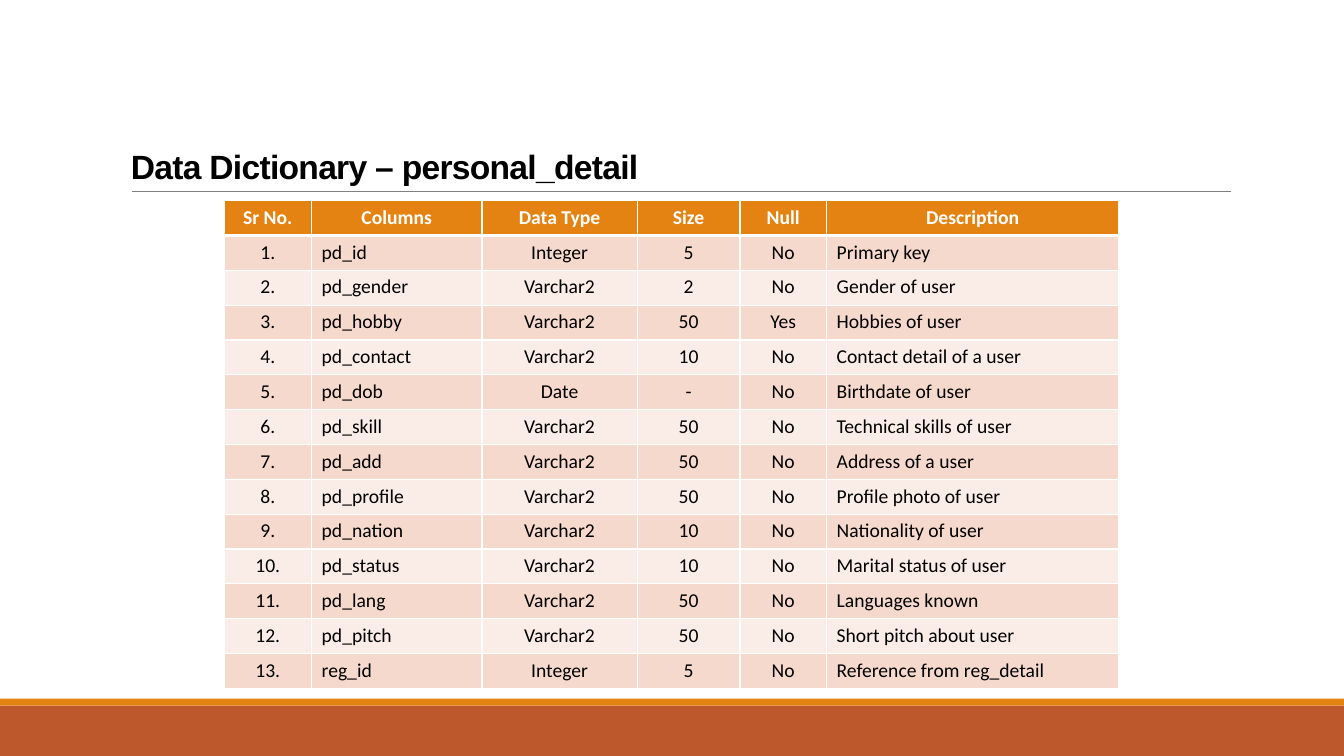
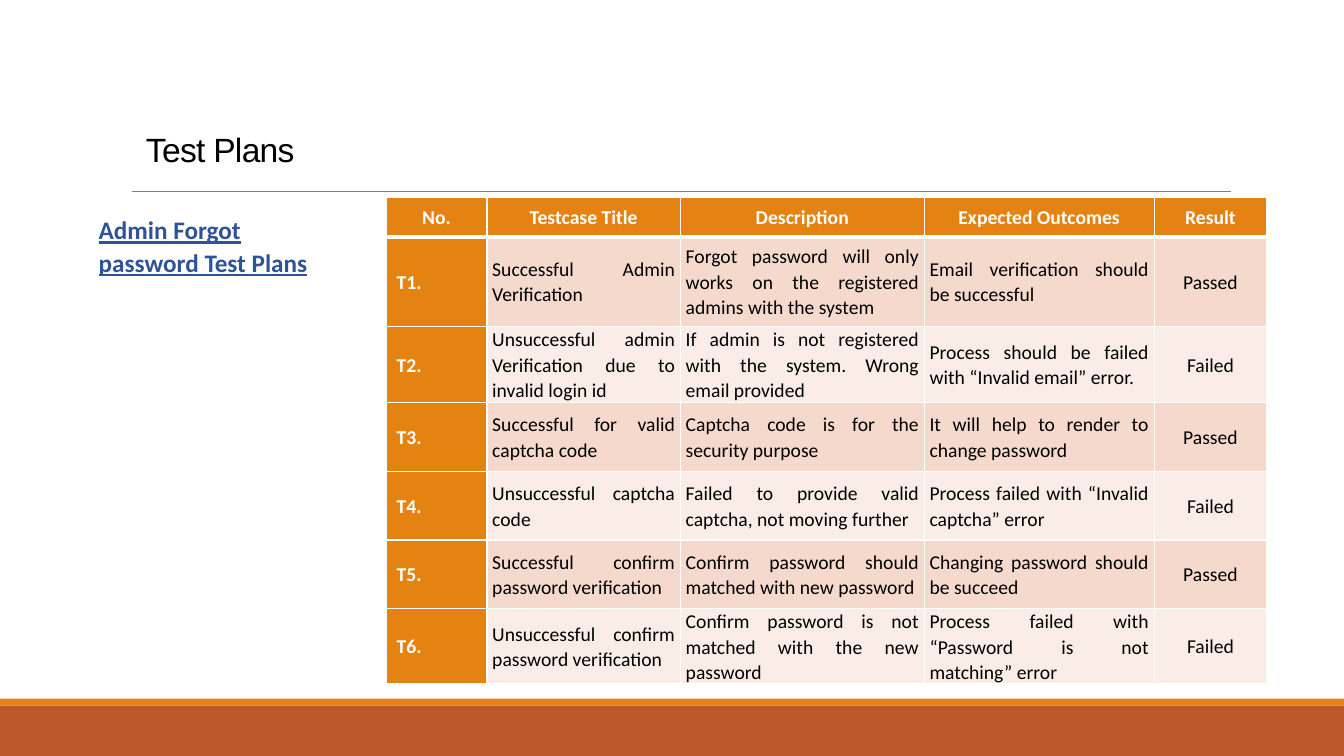
from dataclasses import dataclass

from lxml import etree
from pptx import Presentation
from pptx.dml.color import RGBColor
from pptx.enum.shapes import MSO_CONNECTOR, MSO_SHAPE
from pptx.enum.text import MSO_ANCHOR, PP_ALIGN
from pptx.oxml.ns import qn
from pptx.slide import Slide
from pptx.table import _Cell
from pptx.text.text import _Paragraph
from pptx.util import Pt

LEFT, CENTER, JUSTIFY = PP_ALIGN.LEFT, PP_ALIGN.CENTER, PP_ALIGN.JUSTIFY
TOP, MIDDLE, BOTTOM = MSO_ANCHOR.TOP, MSO_ANCHOR.MIDDLE, MSO_ANCHOR.BOTTOM
RECTANGLE, STRAIGHT = MSO_SHAPE.RECTANGLE, MSO_CONNECTOR.STRAIGHT

COLORS = {
    "orange": "E48312",
    "rust": "BD582C",
    "rule": "808080",
    "black": "000000",
    "white": "FFFFFF",
    "blue": "2F5496",
    "band_dark": "F5D9CC",
    "band_light": "FAEDE7",
}
SLIDE_WIDTH, SLIDE_HEIGHT = 960, 540
BLANK_LAYOUT = 6
THIN, THICK = 1, 3


@dataclass(frozen=True)
class Area:
    left: float
    top: float
    width: float
    height: float


@dataclass(frozen=True)
class Band:
    area: Area
    color: str


@dataclass(frozen=True)
class TextStyle:
    size: float
    color: str
    font: str = "Calibri"
    bold: bool = False
    underline: bool = False
    tracking: float = 0
    line_spacing: float = 1
    space_before: float = 0


@dataclass(frozen=True)
class Column:
    title: str
    width: float
    align: PP_ALIGN


@dataclass(frozen=True)
class Grid:
    left: float
    top: float
    columns: list[Column]
    row_heights: list[float]
    rows: list[tuple[str, ...]]
    anchor: MSO_ANCHOR
    side_margin: float
    edge_margin: float
    line_spacing: float = 1
    row_headers: bool = False


BANDS = [
    Band(Area(0, 504, SLIDE_WIDTH, 36), "rust"),
    Band(Area(0, 499, SLIDE_WIDTH, 5), "orange"),
]
RULE = Area(94.3, 136.8, 784.8, 0)

FIELDS = [
    ("pd_id", "Integer", "5", "No", "Primary key"),
    ("pd_gender", "Varchar2", "2", "No", "Gender of user"),
    ("pd_hobby", "Varchar2", "50", "Yes", "Hobbies of user"),
    ("pd_contact", "Varchar2", "10", "No", "Contact detail of a user"),
    ("pd_dob", "Date", "-", "No", "Birthdate of user"),
    ("pd_skill", "Varchar2", "50", "No", "Technical skills of user"),
    ("pd_add", "Varchar2", "50", "No", "Address of a user"),
    ("pd_profile", "Varchar2", "50", "No", "Profile photo of user"),
    ("pd_nation", "Varchar2", "10", "No", "Nationality of user"),
    ("pd_status", "Varchar2", "10", "No", "Marital status of user"),
    ("pd_lang", "Varchar2", "50", "No", "Languages known"),
    ("pd_pitch", "Varchar2", "50", "No", "Short pitch about user"),
    ("reg_id", "Integer", "5", "No", "Reference from reg_detail"),
]
TEST_CASES = [
    ("Successful Admin Verification",
     "Forgot password will only works on the registered admins with the system",
     "Email verification should be successful", "Passed"),
    ("Unsuccessful admin Verification due to invalid login id",
     "If admin is not registered with the system. Wrong email provided",
     "Process should be failed with “Invalid email” error.", "Failed"),
    ("Successful for valid captcha code",
     "Captcha code is for the security purpose",
     "It will help to render to change password", "Passed"),
    ("Unsuccessful captcha code",
     "Failed to provide valid captcha, not moving further",
     "Process failed with “Invalid captcha” error", "Failed"),
    ("Successful confirm password verification",
     "Confirm password should matched with new password",
     "Changing password should be succeed", "Passed"),
    ("Unsuccessful confirm password verification",
     "Confirm password is not matched with the new password",
     "Process failed with “Password is not matching” error", "Failed"),
]

DICTIONARY = Grid(
    left=160, top=143.3,
    columns=[
        Column("Sr No.", 62.6, CENTER),
        Column("Columns", 121.7, LEFT),
        Column("Data Type", 110.9, CENTER),
        Column("Size", 73.4, CENTER),
        Column("Null", 61.9, CENTER),
        Column("Description", 208.8, LEFT),
    ],
    row_heights=[24.9] * (len(FIELDS) + 1),
    rows=[(f"{number}.", *field) for number, field in enumerate(FIELDS, 1)],
    anchor=TOP, side_margin=7.2, edge_margin=3.6,
)
TEST_PLAN = Grid(
    left=275.8, top=141.1,
    columns=[
        Column("No.", 72, LEFT),
        Column("Testcase Title", 138.2, JUSTIFY),
        Column("Description", 174.2, JUSTIFY),
        Column("Expected Outcomes", 164.2, JUSTIFY),
        Column("Result", 80.6, CENTER),
    ],
    row_heights=[28, 64, 54.7] + [49] * 4,
    rows=[(f"T{number}.", *case) for number, case in enumerate(TEST_CASES, 1)],
    anchor=MIDDLE, side_margin=3.8, edge_margin=0,
    line_spacing=1.07, row_headers=True,
)
ROW_HEADER_MARGIN = 7.5


def rgb(name: str) -> RGBColor:
    return RGBColor.from_string(COLORS[name])


def style_paragraph(para: _Paragraph, style: TextStyle, align: PP_ALIGN) -> None:
    para.alignment = align
    para.line_spacing = style.line_spacing
    para.space_before = Pt(style.space_before)
    for span in para.runs:
        font = span.font
        font.name = style.font
        font.size = Pt(style.size)
        font.bold = style.bold
        font.underline = style.underline
        font.color.rgb = rgb(style.color)
        if style.tracking:
            span._r.get_or_add_rPr().set("spc", str(round(style.tracking * 100)))


def add_text(page: Slide, area: Area, text: str, style: TextStyle,
             anchor: MSO_ANCHOR = TOP) -> None:
    box = page.shapes.add_textbox(
        Pt(area.left), Pt(area.top), Pt(area.width), Pt(area.height))
    frame = box.text_frame
    frame.word_wrap = True
    frame.vertical_anchor = anchor
    frame.text = text
    style_paragraph(frame.paragraphs[0], style, LEFT)


def add_title(page: Slide, area: Area, text: str, bold: bool) -> None:
    style = TextStyle(24, "black", font="Arial", bold=bold,
                      tracking=-0.5, line_spacing=0.85)
    add_text(page, area, text, style, BOTTOM)


def add_page(deck: Presentation) -> Slide:
    page = deck.slides.add_slide(deck.slide_layouts[BLANK_LAYOUT])
    for band in BANDS:
        area = band.area
        shape = page.shapes.add_shape(
            RECTANGLE, Pt(area.left), Pt(area.top), Pt(area.width), Pt(area.height))
        shape.shadow.inherit = False
        shape.fill.solid()
        shape.fill.fore_color.rgb = rgb(band.color)
        shape.line.fill.background()
    rule = page.shapes.add_connector(
        STRAIGHT, Pt(RULE.left), Pt(RULE.top),
        Pt(RULE.left + RULE.width), Pt(RULE.top))
    rule.line.color.rgb = rgb("rule")
    rule.line.width = Pt(0.5)
    etree.SubElement(rule._element.spPr, qn("a:effectLst"))
    return page


def set_borders(cell: _Cell, top: float, bottom: float) -> None:
    properties = cell._tc.get_or_add_tcPr()
    widths = {"a:lnL": THIN, "a:lnR": THIN, "a:lnT": top, "a:lnB": bottom}
    for tag, width in widths.items():
        line = etree.SubElement(properties, qn(tag), w=str(Pt(width)))
        fill = etree.SubElement(line, qn("a:solidFill"))
        etree.SubElement(fill, qn("a:srgbClr"), val=COLORS["white"])


def add_grid(page: Slide, grid: Grid) -> None:
    lines = [tuple(column.title for column in grid.columns), *grid.rows]
    table = page.shapes.add_table(
        len(lines), len(grid.columns), Pt(grid.left), Pt(grid.top),
        Pt(sum(column.width for column in grid.columns)),
        Pt(sum(grid.row_heights))).table
    table.horz_banding = False
    table.first_col = grid.row_headers
    for index, column in enumerate(grid.columns):
        table.columns[index].width = Pt(column.width)
    for row, (height, texts) in enumerate(zip(grid.row_heights, lines)):
        table.rows[row].height = Pt(height)
        for index, (column, text) in enumerate(zip(grid.columns, texts)):
            row_header = grid.row_headers and index == 0 and row > 0
            header = row == 0 or row_header
            cell = table.cell(row, index)
            cell.vertical_anchor = grid.anchor
            cell.margin_left = Pt(ROW_HEADER_MARGIN if row_header else grid.side_margin)
            cell.margin_right = Pt(grid.side_margin)
            cell.margin_top = cell.margin_bottom = Pt(grid.edge_margin)
            set_borders(cell, THICK if row == 1 else THIN, THICK if row == 0 else THIN)
            band = "band_dark" if row % 2 else "band_light"
            cell.fill.solid()
            cell.fill.fore_color.rgb = rgb("orange" if header else band)
            cell.text_frame.text = text
            style = TextStyle(14, "white" if header else "black", bold=header,
                              line_spacing=grid.line_spacing)
            style_paragraph(cell.text_frame.paragraphs[0], style,
                            CENTER if row == 0 else column.align)


def main() -> None:
    deck = Presentation()
    deck.slide_width, deck.slide_height = Pt(SLIDE_WIDTH), Pt(SLIDE_HEIGHT)

    page = add_page(deck)
    add_title(page, Area(86.4, 22.3, 792, 114.5),
              "Data Dictionary – personal_detail", bold=True)
    add_grid(page, DICTIONARY)

    page = add_page(deck)
    add_title(page, Area(97.2, 80.6, 792, 44), "Test Plans", bold=False)
    add_text(page, Area(63.4, 148.3, 167, 52.6), "Admin Forgot password Test Plans",
             TextStyle(18, "blue", bold=True, underline=True,
                       line_spacing=1.07, space_before=12))
    add_grid(page, TEST_PLAN)

    deck.save("out.pptx")


if __name__ == "__main__":
    main()
